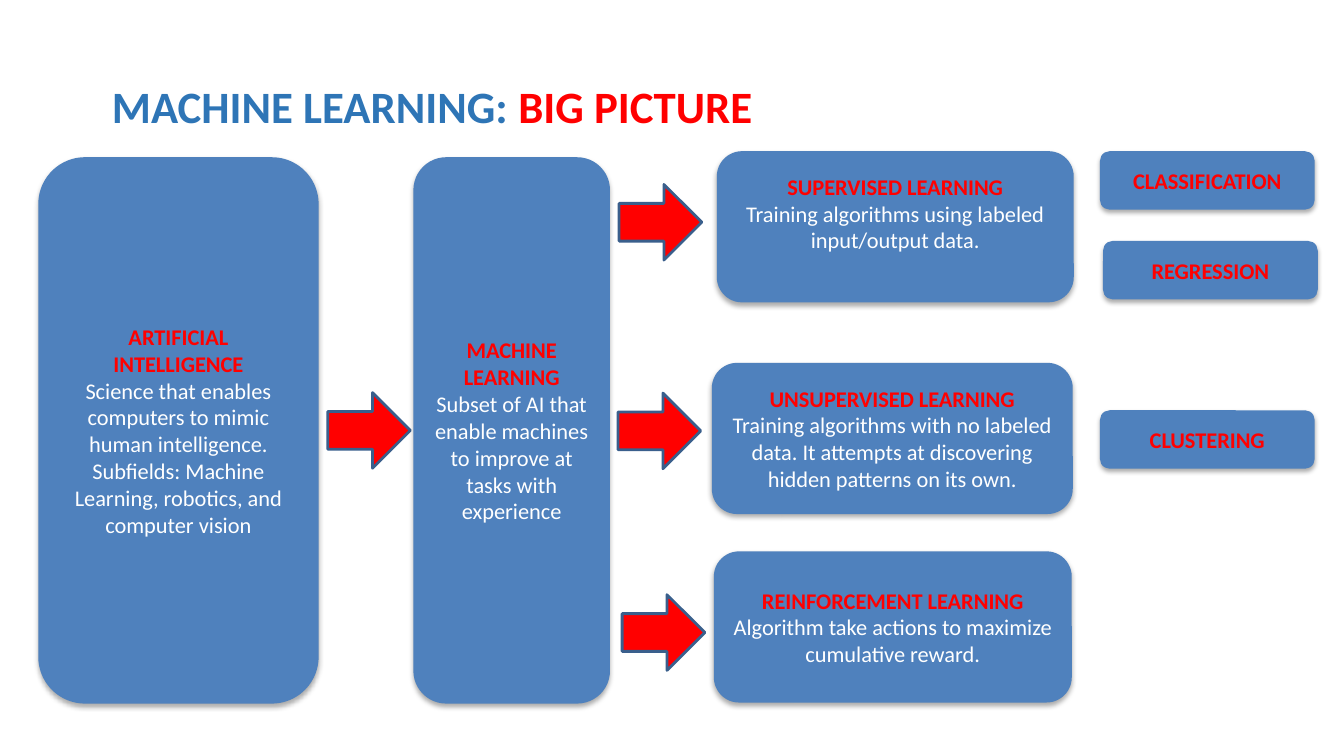
from dataclasses import dataclass
from lxml.etree import SubElement as Sub
from pptx import Presentation
from pptx.dml.color import RGBColor as RGB
from pptx.enum.shapes import MSO_SHAPE as Form
from pptx.enum.text import MSO_ANCHOR as Anchor, MSO_AUTO_SIZE as Fit, PP_ALIGN as Align
from pptx.oxml.ns import qn
from pptx.util import Inches, Pt


@dataclass(frozen=True)
class Theme:
    font: str = "Calibri"
    head: int = 32
    body: int = 16
    blue: str = "2E75B6"
    red: str = "FF0000"
    white: str = "FFFFFF"
    fill: str = "4F81BD"
    edge: str = "3A5F8C"
    shade: str = "000000"


look = Theme()
COLS, ROWS = 133.3, 75  # the grid has ten cells to the inch
ARROW = (8.2, 7.5)
TAG = (21.3, 5.8)


def grid(*cells):
    return [Inches(n / 10) for n in cells]


def write(para, text, size=look.body, color=look.white, bold=False, align=Align.CENTER):
    para.alignment = align
    run = para.add_run()
    run.text = text
    font = run.font
    font.name, font.size, font.bold = look.font, Pt(size), bold
    font.color.rgb = RGB.from_string(color)


def shade(shape):
    """Soft shadow straight below the shape."""
    shape.shadow.inherit = False
    effect = shape._element.spPr.find(qn("a:effectLst"))
    outer = Sub(effect, qn("a:outerShdw"), blurRad=str(Pt(3.5)), dist=str(Pt(2.2)),
                dir="5400000", rotWithShape="0")
    color = Sub(outer, qn("a:srgbClr"), val=look.shade)
    Sub(color, qn("a:alpha"), val="32000")


def panel(slide, box, head, body=None, lift=0):
    """Rounded box with a red heading; lift raises its text."""
    shape = slide.shapes.add_shape(Form.ROUNDED_RECTANGLE, *grid(*box))
    shape.fill.solid()
    shape.fill.fore_color.rgb = RGB.from_string(look.fill)
    shape.line.fill.background()
    shade(shape)
    frame = shape.text_frame
    frame.word_wrap = True
    frame.vertical_anchor = Anchor.MIDDLE
    frame.margin_bottom = Inches(0.05 + lift / 10)
    write(frame.paragraphs[0], head, color=look.red, bold=True)
    if body:
        write(frame.add_paragraph(), body)


def arrow(slide, left, top):
    shape = slide.shapes.add_shape(Form.RIGHT_ARROW, *grid(left, top, *ARROW))
    shape.shadow.inherit = False
    shape.fill.solid()
    shape.fill.fore_color.rgb = RGB.from_string(look.red)
    shape.line.color.rgb = RGB.from_string(look.edge)
    shape.line.width = Pt(2)


def title(slide, box):
    shape = slide.shapes.title
    shape.left, shape.top, shape.width, shape.height = grid(*box)
    frame = shape.text_frame
    frame.word_wrap = True
    frame.auto_size = Fit.NONE
    frame.vertical_anchor = Anchor.MIDDLE
    para = frame.paragraphs[0]
    para.line_spacing = 0.9
    for text, color in (("MACHINE LEARNING: ", look.blue), ("BIG PICTURE", look.red)):
        write(para, text, size=look.head, color=color, bold=True, align=Align.LEFT)


def stages(slide, box):
    """Two tall panels with an arrow between them."""
    left, top, width, height = box
    first, last = 27.8, 19.5
    panel(slide, (left, top, first, height), "ARTIFICIAL INTELLIGENCE",
          "Science that enables computers to mimic human intelligence. "
          "Subfields: Machine Learning, robotics, and computer vision")
    arrow(slide, left + first + 0.9, top + (height - ARROW[1]) / 2)
    panel(slide, (left + width - last, top, last, height), "MACHINE LEARNING",
          "Subset of AI that enable machines to improve at tasks with experience")


def branch(slide, box, head, body, start, tags=(), lift=0):
    """Arrow, learning type and its tags; start and tags are offsets from the box."""
    left, top, width, _ = box
    arrow(slide, left + start[0], top + start[1])
    panel(slide, box, head, body, lift)
    for text, right, down in tags:
        panel(slide, (left + width + right, top + down, *TAG), text)


def main():
    deck = Presentation()
    deck.slide_width, deck.slide_height = grid(COLS, ROWS)
    slide = deck.slides.add_slide(deck.slide_layouts[5])
    title(slide, (10.1, 3.6, 96.7, 14.5))
    stages(slide, (3.8, 15.6, 56.7, 54.2))
    branch(slide, (71.1, 15, 35.4, 15), "SUPERVISED LEARNING",
           "Training algorithms using labeled input/output data.", (-9.7, 3.3),
           [("CLASSIFICATION", 2.6, 0), ("REGRESSION", 2.9, 8.9)], lift=2.7)
    branch(slide, (70.6, 36, 35.8, 15), "UNSUPERVISED LEARNING",
           "Training algorithms with no labeled data. It attempts at discovering "
           "hidden patterns on its own.", (-9.3, 3), [("CLUSTERING", 2.7, 4.7)])
    branch(slide, (70.8, 54.7, 35.5, 15), "REINFORCEMENT LEARNING",
           "Algorithm take actions to maximize cumulative reward.", (-9.1, 4.3))
    deck.save("out.pptx")


if __name__ == "__main__":
    main()
